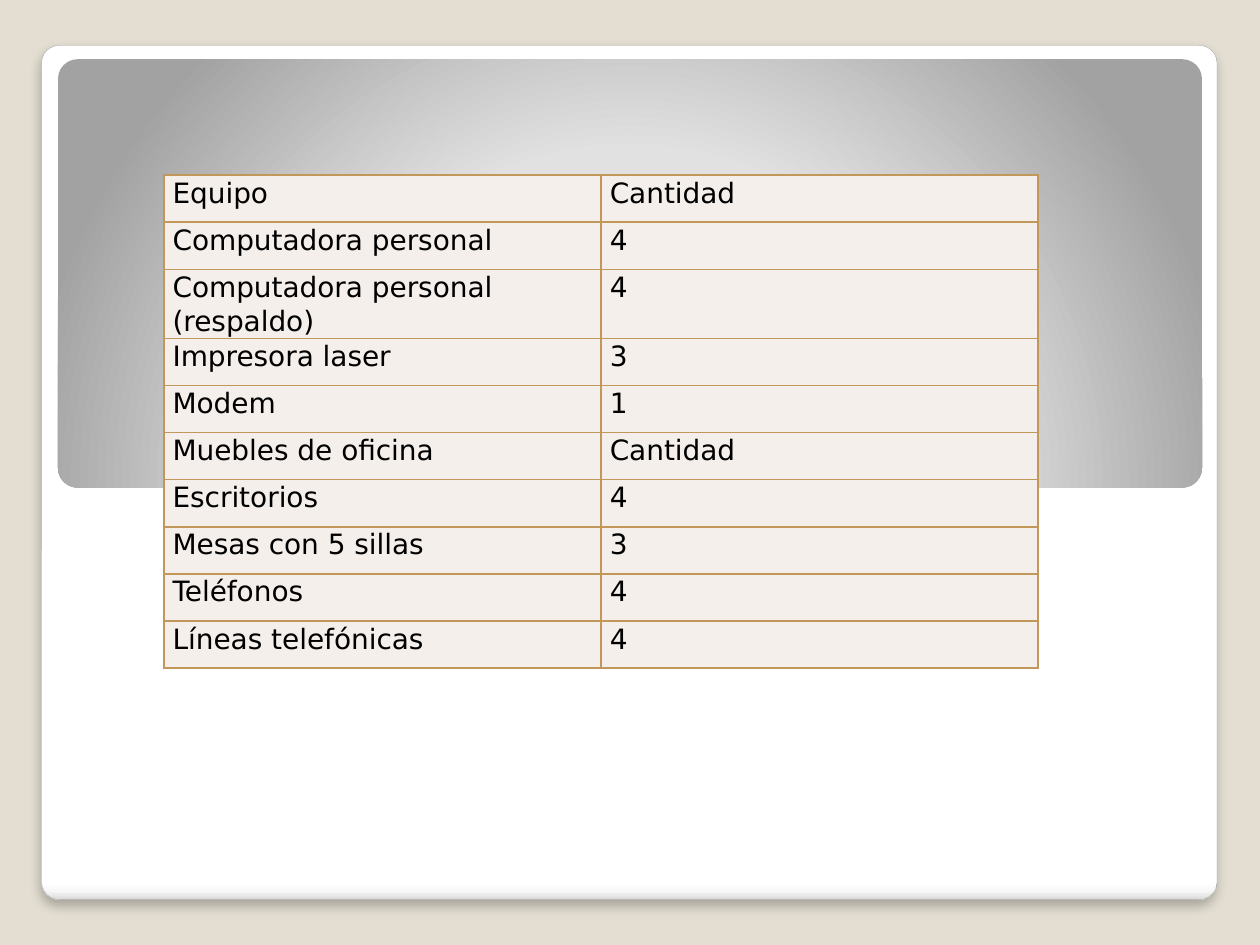
"""Builds a slide with a table of office equipment and quantities."""
from lxml import etree
from pptx import Presentation
from pptx.dml.color import RGBColor
from pptx.enum.shapes import MSO_SHAPE
from pptx.oxml import parse_xml
from pptx.oxml.ns import nsdecls, qn
from pptx.util import Inches, Pt


def rgb(color):
    return RGBColor.from_string(color)


def add_panel(s, box, radius, stops, shade):
    sp = s.shapes.add_shape(MSO_SHAPE.ROUNDED_RECTANGLE, *map(Inches, box))
    sp.adjustments[0] = radius
    sp.shadow.inherit = False
    sp.line.fill.background()
    gs = "".join(f'<a:gs pos="{pos * 1000}"><a:srgbClr val="{color}"/></a:gs>'
                 for pos, color in stops)
    grad = parse_xml(f'<a:gradFill {nsdecls("a")} rotWithShape="1">'
                     f'<a:gsLst>{gs}</a:gsLst>{shade}</a:gradFill>')
    sp._element.spPr.find(qn("a:prstGeom")).addnext(grad)
    return sp


prs = Presentation()
prs.slide_width, prs.slide_height = Inches(10), Inches(7.5)
s = prs.slides.add_slide(prs.slide_layouts[6])
s.background.fill.solid()
s.background.fill.fore_color.rgb = rgb("E3DED1")

card = add_panel(s, (0.33, 0.36, 9.33, 6.78), 0.021,
                 [(0, "FFFFFF"), (98, "FFFFFF"), (99, "F7F7F7"), (100, "DADADA")],
                 '<a:lin ang="5400000" scaled="0"/>')
card.line.color.rgb = rgb("A4A4A4")
card.line.width = Pt(0.16)
card._element.spPr.find(qn("a:effectLst")).append(parse_xml(
    f'<a:outerShdw {nsdecls("a")} blurRad="{Pt(6)}" dist="{Pt(4)}" dir="5400000" '
    'algn="tl" rotWithShape="0"><a:srgbClr val="000000"><a:alpha val="25000"/>'
    '</a:srgbClr></a:outerShdw>'))

add_panel(s, (0.46, 0.47, 9.08, 3.4), 0.046,
          [(0, "FFFFFF"), (55, "E1E1E1"), (100, "A2A2A2")],
          '<a:path path="circle"><a:fillToRect l="50000" t="175000" r="50000" '
          'b="-75000"/></a:path>')

rows = [
    ("Equipo", "Cantidad"),
    ("Computadora personal", "4"),
    ("Computadora personal (respaldo)", "4"),
    ("Impresora laser", "3"),
    ("Modem", "1"),
    ("Muebles de oficina", "Cantidad"),
    ("Escritorios", "4"),
    ("Mesas con 5 sillas", "3"),
    ("Teléfonos", "4"),
    ("Líneas telefónicas", "4"),
]
table = s.shapes.add_table(len(rows), 2, Inches(1.3), Inches(1.39),
                           Inches(6.94), Inches(3.74)).table
for i, row in enumerate(rows):
    for j, text in enumerate(row):
        cell = table.cell(i, j)
        cell.margin_left = cell.margin_right = Inches(0.07)
        cell.margin_top = cell.margin_bottom = 0
        cell.text = text
        p = cell.text_frame.paragraphs[0]
        p.line_spacing = 1.07
        p.font.size = Pt(16)
        p.font.name = "DejaVu Sans"
        p.font.bold = False
        p.font.color.rgb = rgb("000000")
        tcPr = cell._tc.get_or_add_tcPr()
        for side in ("lnL", "lnR", "lnT", "lnB"):
            ln = etree.SubElement(tcPr, qn(f"a:{side}"), w=str(Pt(1)))
            fill = etree.SubElement(ln, qn("a:solidFill"))
            etree.SubElement(fill, qn("a:srgbClr"), val="C19859")
        cell.fill.solid()
        cell.fill.fore_color.rgb = rgb("F4EFEA")

prs.save("out.pptx")
